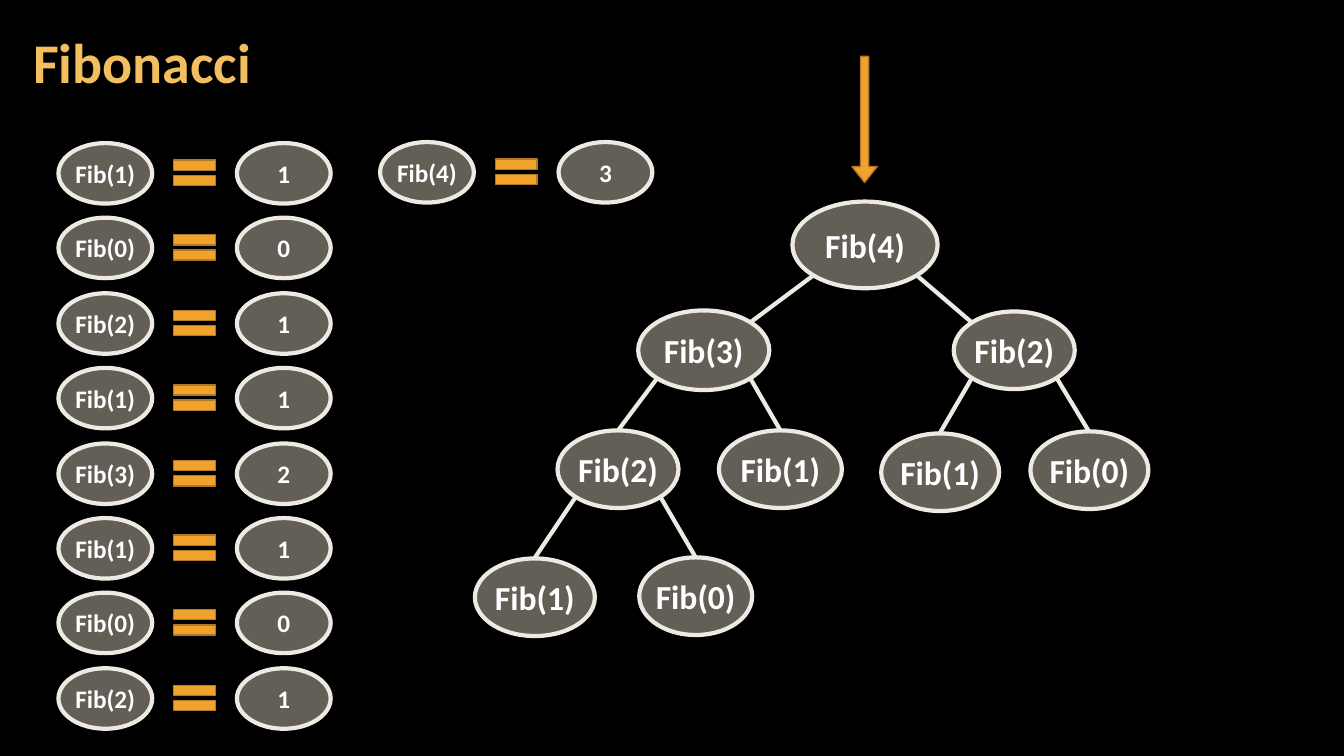
import math
from dataclasses import dataclass
from typing import Optional

import pptx
import pptx.dml.color
import pptx.enum.shapes
import pptx.enum.text
import pptx.oxml.ns
import pptx.oxml.xmlchemy
import pptx.util

RGBColor = pptx.dml.color.RGBColor
SHAPE = pptx.enum.shapes.MSO_SHAPE
ALIGN = pptx.enum.text.PP_ALIGN
PX = 9144
BLACK = RGBColor(0x00, 0x00, 0x00)
WHITE = RGBColor(0xFF, 0xFF, 0xFF)
GOLD = RGBColor(0xF3, 0xBE, 0x60)
ORANGE = RGBColor(0xF0, 0xA2, 0x2E)
BROWN = RGBColor(0xB2, 0x78, 0x22)
STONE = RGBColor(0xC7, 0xBF, 0xAC)
IVORY = RGBColor(0xEC, 0xEA, 0xE3)
ROW_PITCH = 74.4


@dataclass(frozen=True)
class Call:
    text: str
    x: int
    y: int
    w: int
    h: int = 77
    parent: Optional["Call"] = None
    joined_at_shoulder: bool = False

    def rim(self, side: int, vertical: int) -> tuple[int, int]:
        reach = math.sqrt(0.5) if side else 1
        return (round(self.x + self.w / 2 * (1 + side * reach)),
                round(self.y + self.h / 2 * (1 + vertical * reach)))


@dataclass(frozen=True)
class Result:
    call: str
    value: int
    x: int
    y: int


def px(*lengths: int) -> list[int]:
    return [pptx.util.Emu(n * PX) for n in lengths]


def write(s, text: str, *, size: int, color: RGBColor = WHITE, align=ALIGN.CENTER,
          inset: int = 0, spacing: float = 1.0) -> None:
    tf = s.text_frame
    tf.word_wrap = True
    tf.vertical_anchor = pptx.enum.text.MSO_ANCHOR.MIDDLE
    tf.margin_left = tf.margin_right = px(inset)[0]
    tf.margin_top = tf.margin_bottom = px(4)[0]
    p = tf.paragraphs[0]
    p.alignment = align
    p.line_spacing = spacing
    r = p.add_run()
    r.text = text
    r.font.name = "Calibri"
    r.font.size = pptx.util.Pt(size)
    r.font.bold = True
    r.font.color.rgb = color


def add_shape(shapes, kind, box: tuple[int, int, int, int], fill: RGBColor,
              line: RGBColor, weight: int):
    s = shapes.add_shape(kind, *px(*box))
    s.shadow.inherit = False
    s.fill.solid()
    s.fill.fore_color.rgb = fill
    s.line.color.rgb = line
    s.line.width = pptx.util.Pt(weight)
    return s


def add_bubble(shapes, text: str, box: tuple[int, int, int, int], size: int) -> None:
    s = add_shape(shapes, SHAPE.OVAL, box, STONE, IVORY, 3)
    color = s._element.spPr.find(pptx.oxml.ns.qn("a:solidFill"))[0]
    alpha = pptx.oxml.xmlchemy.OxmlElement("a:alpha")
    alpha.set("val", "50000")
    color.append(alpha)
    write(s, text, size=size)


def add_branch(shapes, call: Call) -> None:
    parent = call.parent
    side = 1 if call.rim(0, -1)[0] > parent.rim(0, 1)[0] else -1
    start = parent.rim(side, 1)
    end = call.rim(-side if call.joined_at_shoulder else 0, -1)
    s = shapes.add_connector(pptx.enum.shapes.MSO_CONNECTOR.STRAIGHT, *px(*start, *end))
    s.line.color.rgb = IVORY
    s.line.width = pptx.util.Pt(3)
    s._element.spPr.append(pptx.oxml.xmlchemy.OxmlElement("a:effectLst"))


def add_call(shapes, call: Call) -> None:
    if call.parent:
        add_branch(shapes, call)
    add_bubble(shapes, call.text, (call.x, call.y, call.w, call.h), 24)


def add_result(shapes, result: Result) -> None:
    add_bubble(shapes, result.call, (result.x, result.y, 93, 60), 18)
    add_shape(shapes, SHAPE.MATH_EQUAL, (result.x + 107, result.y + 8, 56, 43),
              ORANGE, BROWN, 1)
    add_bubble(shapes, str(result.value), (result.x + 177, result.y, 93, 60), 18)


def add_arrow(shapes) -> None:
    s = add_shape(shapes, SHAPE.RIGHT_ARROW, (795, 106, 125, 25), ORANGE, BROWN, 1)
    s.rotation = 90
    s.adjustments[0] = 0.32
    s.adjustments[1] = 0.63


def call_tree() -> list[Call]:
    root = Call("Fib(4)", 786, 200, 144, 86)
    left = Call("Fib(3)", 633, 308, 130, 79, root, True)
    right = Call("Fib(2)", 946, 309, 120, parent=root, joined_at_shoulder=True)
    inner = Call("Fib(2)", 553, 427, 120, parent=left)
    return [
        root, left, right, inner,
        Call("Fib(1)", 713, 427, 122, parent=left),
        Call("Fib(1)", 471, 554, 119, parent=inner),
        Call("Fib(0)", 634, 553, 112, parent=inner),
        Call("Fib(1)", 874, 430, 117, parent=right),
        Call("Fib(0)", 1022, 428, 117, parent=right),
    ]


def results() -> list[Result]:
    returned = [("Fib(1)", 1), ("Fib(0)", 0), ("Fib(2)", 1), ("Fib(1)", 1),
                ("Fib(3)", 2), ("Fib(1)", 1), ("Fib(0)", 0), ("Fib(2)", 1)]
    column = [Result(call, value, 58, round(142 + i * ROW_PITCH))
              for i, (call, value) in enumerate(returned)]
    return column + [Result("Fib(4)", 3, 377, 141)]


def main() -> None:
    prs = pptx.Presentation()
    prs.slide_width, prs.slide_height = px(1333, 750)
    slide = prs.slides.add_slide(prs.slide_layouts[6])
    slide.background.fill.solid()
    slide.background.fill.fore_color.rgb = BLACK
    shapes = slide.shapes
    title = shapes.add_textbox(*px(21, 4, 1047, 121))
    write(title, "Fibonacci", size=40, color=GOLD, align=ALIGN.LEFT, inset=12, spacing=0.9)
    for call in call_tree():
        add_call(shapes, call)
    add_arrow(shapes)
    for result in results():
        add_result(shapes, result)
    prs.save("out.pptx")


if __name__ == "__main__":
    main()
